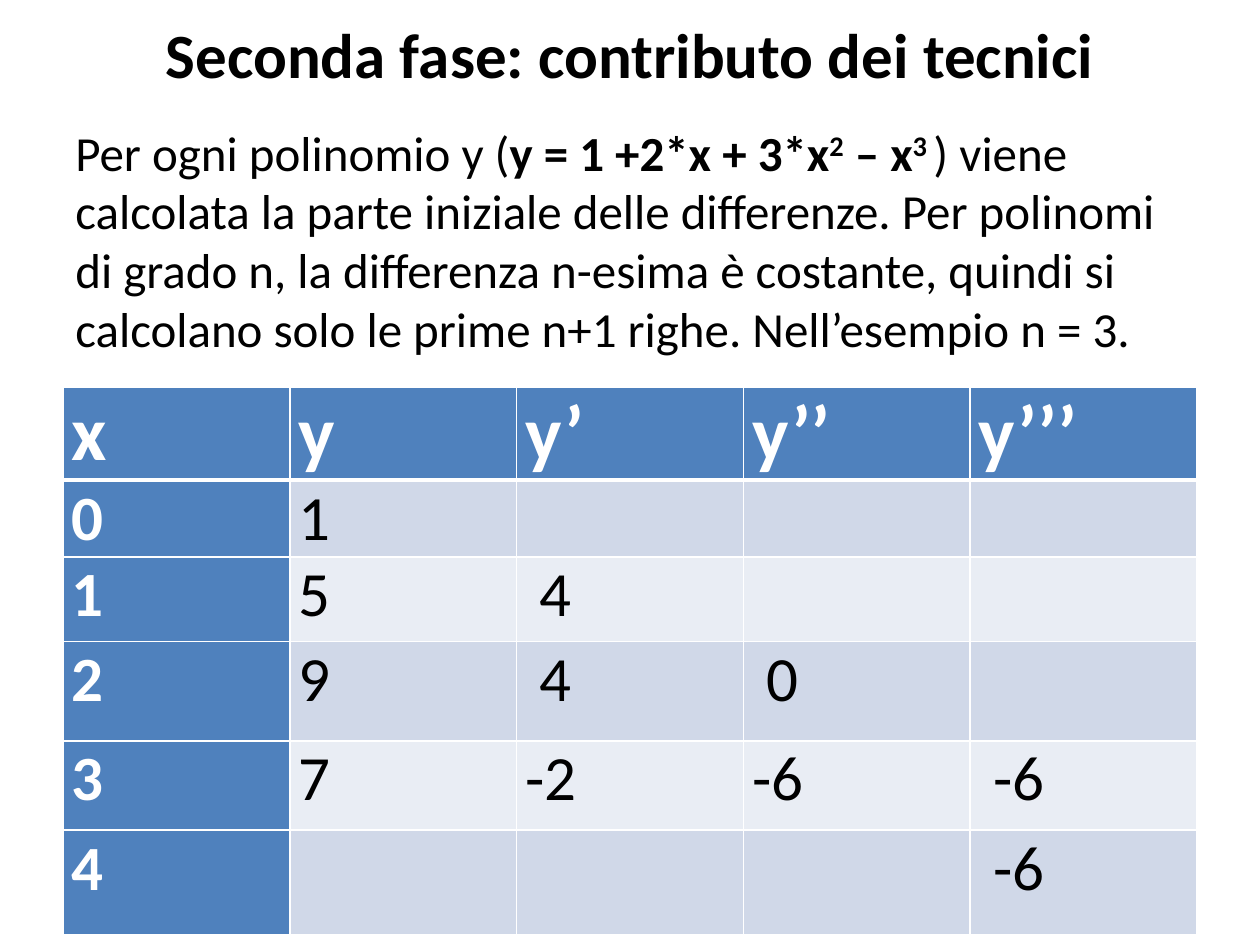
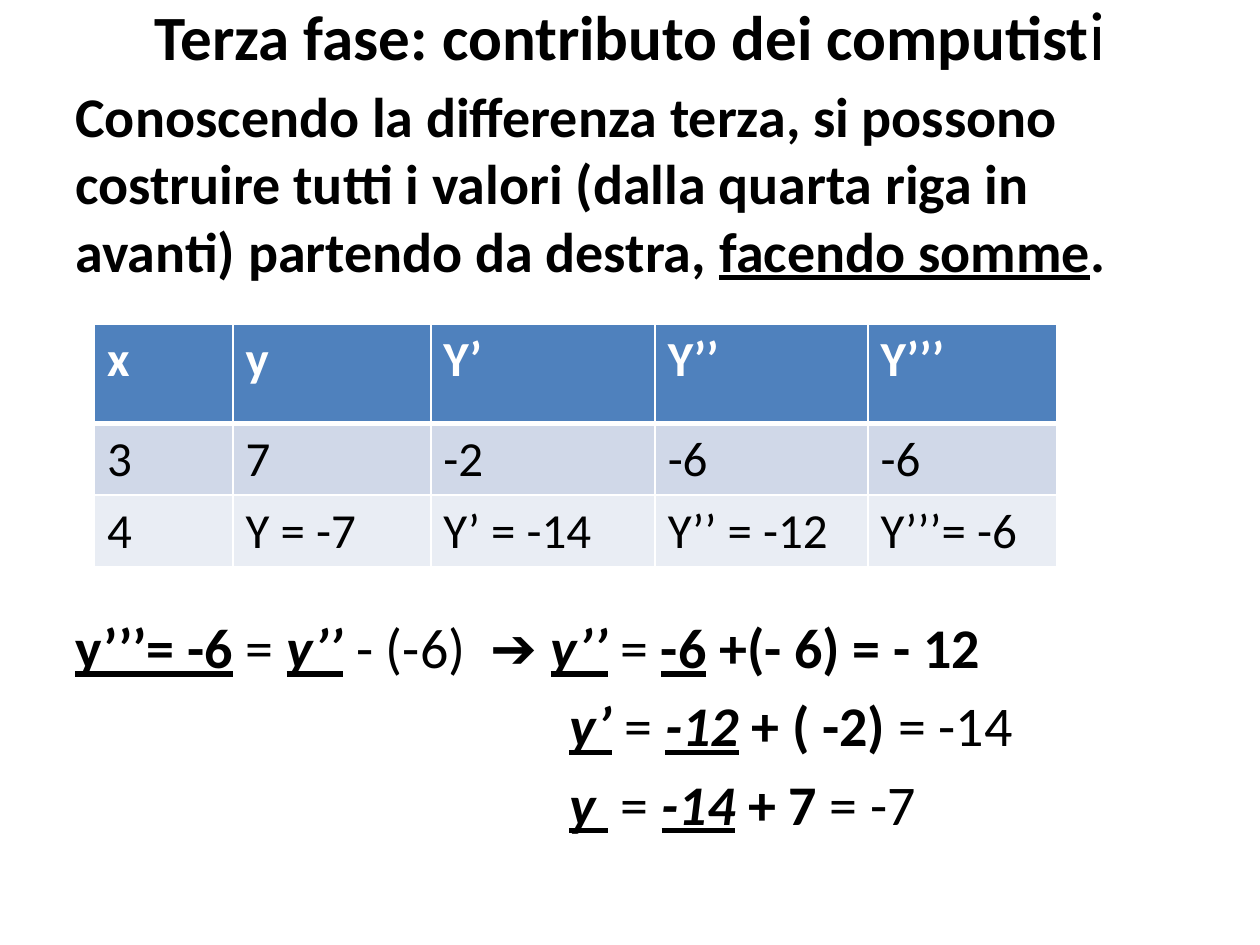
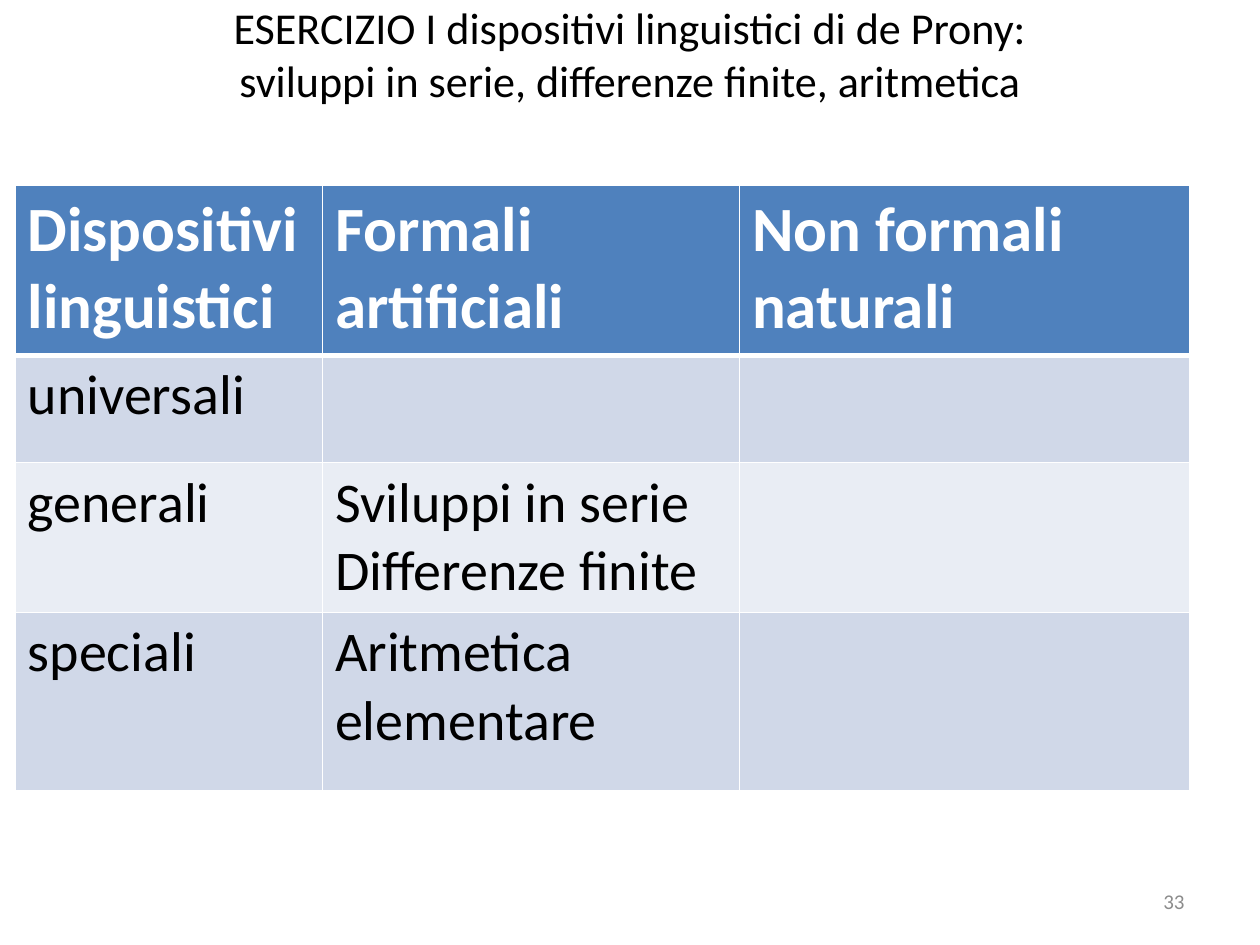
import pptx
import pptx.util
import pptx.dml.color
import pptx.enum.text
import lxml.etree

Pt = pptx.util.Pt
RGB = pptx.dml.color.RGBColor
ALIGN = pptx.enum.text.PP_ALIGN
ANCHOR = pptx.enum.text.MSO_ANCHOR

# The page is a grid of 100 columns by 75 rows of square cells.
CELL = pptx.util.Inches(0.1)
COLS, ROWS = 100, 75
EDGE = 5
SPAN = COLS - 2 * EDGE

FONT = "Calibri"
BLACK = RGB(0x00, 0x00, 0x00)
WHITE = RGB(0xFF, 0xFF, 0xFF)
GREY = RGB(0x8C, 0x8C, 0x8C)
BLUE = RGB(0x4F, 0x81, 0xBD)
BANDS = RGB(0xD0, 0xD8, 0xE8), RGB(0xE9, 0xED, 0xF4)


def grid(*cells):
    """Turn grid cells into lengths."""
    return [round(n * CELL) for n in cells]


def style(run, size, color=BLACK, marks=""):
    """Format a run; marks are b(old), i(talic), u(nderline), s(uperscript)."""
    font = run.font
    font.name, font.size = FONT, Pt(size)
    font.color.rgb = color
    font.bold = "b" in marks
    font.italic = "i" in marks
    font.underline = "u" in marks
    if "s" in marks:
        run._r.get_or_add_rPr().set("baseline", "30000")


def write(para, parts, size):
    """Fill a paragraph with (text, marks) or (text, marks, size) parts."""
    for text, marks, *own in parts:
        run = para.add_run()
        run.text = text
        style(run, own[0] if own else size, marks=marks)


def head(slide, parts, size, high):
    """Place the title across the top, centred in a band of given height."""
    title = slide.shapes.title
    title.left, title.top, title.width, title.height = grid(EDGE, 0, SPAN, high)
    frame = title.text_frame
    frame.auto_size = pptx.enum.text.MSO_AUTO_SIZE.NONE
    frame.vertical_anchor = ANCHOR.MIDDLE
    para = frame.paragraphs[0]
    para.alignment = ALIGN.CENTER
    if isinstance(parts, str):
        para.text = parts
        for run in para.runs:
            style(run, size)
    else:
        write(para, parts, size)


def body(slide, box, lines, size):
    """Write paragraphs, each an (indent in cells, parts) pair, in a box."""
    frame = slide.shapes.add_textbox(*grid(*box)).text_frame
    frame.word_wrap = True
    for row, (indent, parts) in enumerate(lines):
        para = frame.add_paragraph() if row else frame.paragraphs[0]
        if row:
            para.space_before = Pt(size * 0.2)
        if indent:
            para._p.get_or_add_pPr().set("marL", str(grid(indent)[0]))
        write(para, parts, size)
    return frame


def rule(cell, under):
    """Draw white borders round a cell, the lower one as wide as under."""
    props = cell._tc.get_or_add_tcPr()
    for side, wide in (("L", 1), ("R", 1), ("T", 1), ("B", under)):
        props.append(lxml.etree.fromstring(
            f'<a:ln{side} w="{Pt(wide)}" xmlns:a='
            '"http://schemas.openxmlformats.org/drawingml/2006/main">'
            f'<a:solidFill><a:srgbClr val="{WHITE}"/></a:solidFill>'
            f'</a:ln{side}>'))


def table(slide, spot, wides, highs, data, top, size, side=False, pads=None):
    """Build a banded table; top is the header size, side marks column one."""
    box = grid(*spot, sum(wides), sum(highs))
    grille = slide.shapes.add_table(len(highs), len(wides), *box).table
    grille.first_col = side
    for col, wide in zip(grille.columns, grid(*wides)):
        col.width = wide
    for r, (row, high) in enumerate(zip(grille.rows, grid(*highs))):
        row.height = high
        for c, cell in enumerate(row.cells):
            lead = r == 0 or (side and c == 0)
            rule(cell, 3 if r == 0 else 1)
            cell.fill.solid()
            cell.fill.fore_color.rgb = BLUE if lead else BANDS[(r - 1) % 2]
            if pads:
                across, down = grid(*pads)
                cell.margin_left = cell.margin_right = across
                cell.margin_top = cell.margin_bottom = down
            cell.text_frame.text = data[r][c]
            for para in cell.text_frame.paragraphs:
                for run in para.runs:
                    style(run, size if r else top,
                          WHITE if lead else BLACK, "b" if lead else "")


def number(slide, text):
    """Put the page number at the lower right."""
    frame = body(slide, (71.7, 69.5, 23.3, 4), [(0, [(text, "")])], 12)
    frame.vertical_anchor = ANCHOR.MIDDLE
    para = frame.paragraphs[0]
    para.alignment = ALIGN.RIGHT
    para.runs[0].font.color.rgb = GREY


def second(slide):
    """Second phase: the table of differences."""
    head(slide, [("Seconda fase: contributo dei tecnici", "b")], 36, 8.4)
    body(slide, (EDGE, 9.2, SPAN, 20), [(0, [
        ("Per ogni polinomio y (", ""), ("y = 1 +2*x + 3*x", "b"),
        ("2", "bs"), (" – x", "b"), ("3 ", "bs"),
        (") viene calcolata la parte iniziale delle differenze. Per polinomi "
         "di grado n, la differenza n-esima è costante, quindi si calcolano "
         "solo le prime n+1 righe. Nell’esempio n = 3.", "")])], 28)
    data = [("x", "y", "y’", "y’’", "y’’’"),
            ("0", "1", "", "", ""),
            ("1", "5", " 4", "", ""),
            ("2", "9", " 4", " 0", ""),
            ("3", "7", "-2", "-6", " -6"),
            ("4", "", "", "", " -6")]
    table(slide, (EDGE, 30.7), [SPAN / 5] * 5, [7.4, 6.1, 6.7, 7.9, 7.1, 8.3],
          data, 44, 36, side=True, pads=(0.7, 0))


def third(slide):
    """Third phase: the sums that give the next row."""
    head(slide, [("Terza fase: contributo dei computist", "b"),
                 ("i", "", 39.6)], 36, 5.2)
    body(slide, (EDGE, 6, SPAN, 18), [(0, [
        ("Conoscendo la differenza terza, si possono costruire tutti i valori "
         "(dalla quarta riga in avanti) partendo da destra, ", "b"),
        ("facendo somme", "bu"), (".", "b")])], 32)
    data = [("x", "y", "Y’", "Y’’", "Y’’’"),
            ("3", "7", "-2", "-6", "-6"),
            ("4", "Y = -7", "Y’ = -14", "Y’’ = -12", "Y’’’= -6")]
    table(slide, (7.5, 25.7), [11, 15.7, 17.8, 16.9, 15], [7.9, 5.7, 5.7],
          data, 28, 28)
    equal = (" = ", "")
    sums = [
        (0, [("y’’’= -6", "bu"), equal, ("y’’", "biu"), (" - (-6)  ➔ ", ""),
             ("y’’", "biu"), equal, ("-6", "bu"), (" ", ""),
             ("+(- 6) = - 12", "b")]),
        (39.2, [("y’", "biu"), equal, ("-12", "biu"), (" + ( -2)", "b"),
                (" = -14", "")]),
        (39.2, [("y ", "biu"), equal, ("-14", "biu"), (" + 7", "b"),
                (" = -7", "")])]
    body(slide, (EDGE, 48.1, SPAN, 20), sums, 32)


def drill(slide):
    """Exercise: the table of linguistic devices."""
    head(slide, "ESERCIZIO I dispositivi linguistici di de Prony:\v"
         "sviluppi in serie, differenze finite, aritmetica", 25.2, 8.4)
    data = [("Dispositivi\nlinguistici", "Formali\nartificiali",
             "Non formali\nnaturali"),
            ("universali", "", ""),
            ("generali", "Sviluppi in serie\nDifferenze finite", ""),
            ("speciali", "Aritmetica elementare", "")]
    table(slide, (1.2, 14.7), [24.4, 33.1, 35.7], [13.5, 8.5, 11.9, 14.2],
          data, 36, 32)
    number(slide, "33")


def main():
    """Build the slides and save them."""
    deck = pptx.Presentation()
    deck.slide_width, deck.slide_height = grid(COLS, ROWS)
    for make in (second, third, drill):
        make(deck.slides.add_slide(deck.slide_layouts[5]))
    deck.save("out.pptx")


main()
